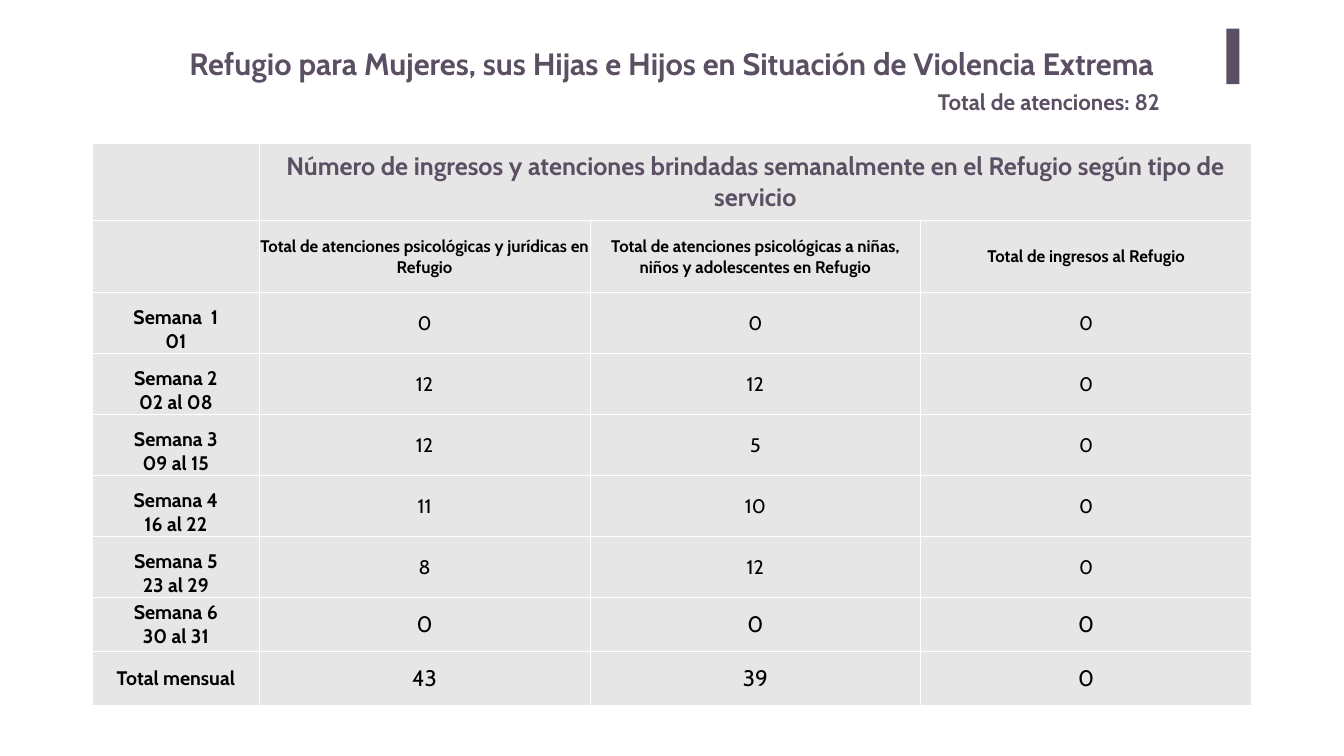
from dataclasses import dataclass

from lxml import etree
from pptx import Presentation
from pptx.dml.color import RGBColor
from pptx.enum import shapes, text
from pptx.oxml.ns import qn
from pptx.util import Pt

COLORS = {"plum": "5B4F63", "grey": "E7E6E6", "white": "FFFFFF", "black": "000000"}
FONT = "Cabin"
MIDDLE, BOTTOM = text.MSO_ANCHOR.MIDDLE, text.MSO_ANCHOR.BOTTOM


@dataclass
class Heading:
    wording: str
    box: tuple[float, float, float, float]
    size: float


@dataclass
class Week:
    label: str
    counts: tuple[int, int, int]
    height: float = 87.2
    size: float = 28
    anchor: text.MSO_ANCHOR = BOTTOM


HEADINGS = [
    Heading("Total de atenciones: 82", (1332.7, 121.7, 396.7, 46), 32),
    Heading("Refugio para Mujeres, sus Hijas e Hijos en Situación de Violencia Extrema",
            (263.5, 60.5, 1492.5, 60.5), 44),
]
TABLE_TITLE = ("Número de ingresos y atenciones brindadas semanalmente "
               "en el Refugio según tipo de servicio")
SERVICES = [
    "Total de atenciones psicológicas y jurídicas en Refugio",
    "Total de atenciones psicológicas a niñas, niños y adolescentes en Refugio",
    "Total de ingresos al Refugio",
]
WEEKS = [
    Week("Semana  1\n01", (0, 0, 0)),
    Week("Semana 2\n02 al 08", (12, 12, 0)),
    Week("Semana 3\n09 al 15", (12, 5, 0)),
    Week("Semana 4\n16 al 22", (11, 10, 0)),
    Week("Semana 5\n23 al 29", (8, 12, 0)),
    Week("Semana 6\n30 al 31", (0, 0, 0), 77, 32, MIDDLE),
    Week("Total mensual", (43, 39, 0), 77, 32, MIDDLE),
]


def rgb(name: str) -> RGBColor:
    return RGBColor.from_string(COLORS[name])


def write(p, wording: str, size: float, color: str, bold: bool) -> None:
    p.text = wording
    f = p.font
    f.name, f.size, f.bold = FONT, Pt(size), bold
    f.color.rgb = rgb(color)


def add_heading(s, h: Heading) -> None:
    tf = s.shapes.add_textbox(*map(Pt, h.box)).text_frame
    tf.word_wrap = True
    tf.auto_size = text.MSO_AUTO_SIZE.SHAPE_TO_FIT_TEXT
    write(tf.paragraphs[0], h.wording, h.size, "plum", True)


def style_cell(cell) -> None:
    """Grey fill, thin white borders and almost no margins."""
    cell.margin_left = cell.margin_right = cell.margin_top = Pt(0.75)
    cell.margin_bottom = 0
    tc_pr = cell._tc.get_or_add_tcPr()
    for side in ("a:lnL", "a:lnR", "a:lnT", "a:lnB"):
        ln = etree.SubElement(tc_pr, qn(side), w=str(Pt(1)))
        fill = etree.SubElement(ln, qn("a:solidFill"))
        etree.SubElement(fill, qn("a:srgbClr"), val=COLORS["white"])
    cell.fill.solid()
    cell.fill.fore_color.rgb = rgb("grey")


def fill_cell(cell, wording: str, size: float, color: str = "black",
              bold: bool = True, anchor: text.MSO_ANCHOR = MIDDLE) -> None:
    cell.vertical_anchor = anchor
    p = cell.text_frame.paragraphs[0]
    write(p, wording, size, color, bold)
    p.alignment = text.PP_ALIGN.CENTER


def add_service_table(s) -> None:
    widths = [238.3] + [472.5] * len(SERVICES)
    heights = [110.9, 102.2] + [w.height for w in WEEKS]
    table = s.shapes.add_table(len(heights), len(widths), Pt(132), Pt(204.5),
                               Pt(sum(widths)), Pt(sum(heights))).table
    table.first_row = table.horz_banding = False
    for col, width in zip(table.columns, widths):
        col.width = Pt(width)
    for row, height in zip(table.rows, heights):
        row.height = Pt(height)
    for cell in table.iter_cells():
        style_cell(cell)

    # Header rows
    table.cell(0, 1).merge(table.cell(0, len(SERVICES)))
    fill_cell(table.cell(0, 1), TABLE_TITLE, 36, "plum")
    for c, service in enumerate(SERVICES, 1):
        fill_cell(table.cell(1, c), service, 24)

    # Weekly rows and monthly total
    for r, week in enumerate(WEEKS, 2):
        fill_cell(table.cell(r, 0), week.label, 28, anchor=week.anchor)
        for c, count in enumerate(week.counts, 1):
            fill_cell(table.cell(r, c), str(count), week.size, bold=False)


def main() -> None:
    prs = Presentation()
    prs.slide_width, prs.slide_height = Pt(1920), Pt(1080)
    s = prs.slides.add_slide(prs.slide_layouts[6])

    # Accent bar
    bar = s.shapes.add_shape(shapes.MSO_SHAPE.RECTANGLE,
                             Pt(1751.8), Pt(41), Pt(18.7), Pt(79.2))
    bar.shadow.inherit = False
    bar.fill.solid()
    bar.fill.fore_color.rgb = rgb("plum")
    bar.line.fill.background()

    # Headings and table
    for heading in HEADINGS:
        add_heading(s, heading)
    add_service_table(s)
    prs.save("out.pptx")


if __name__ == "__main__":
    main()
